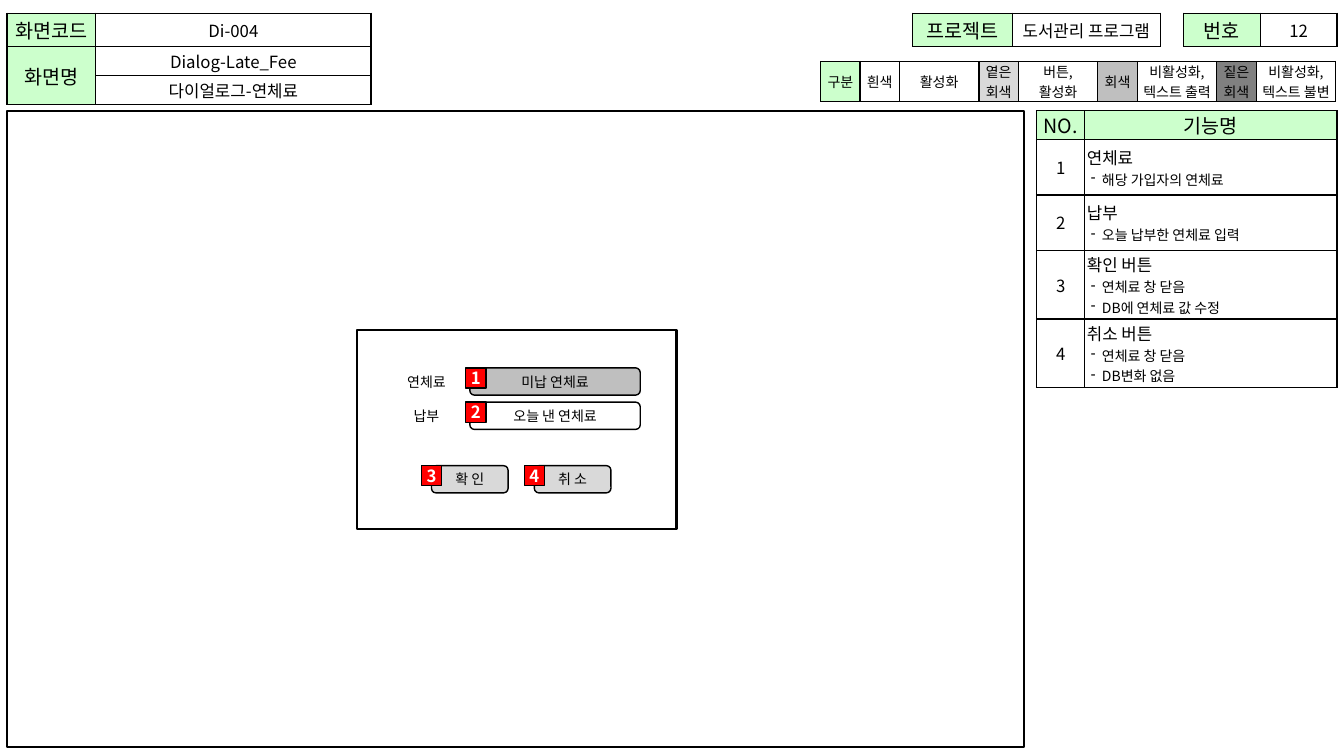
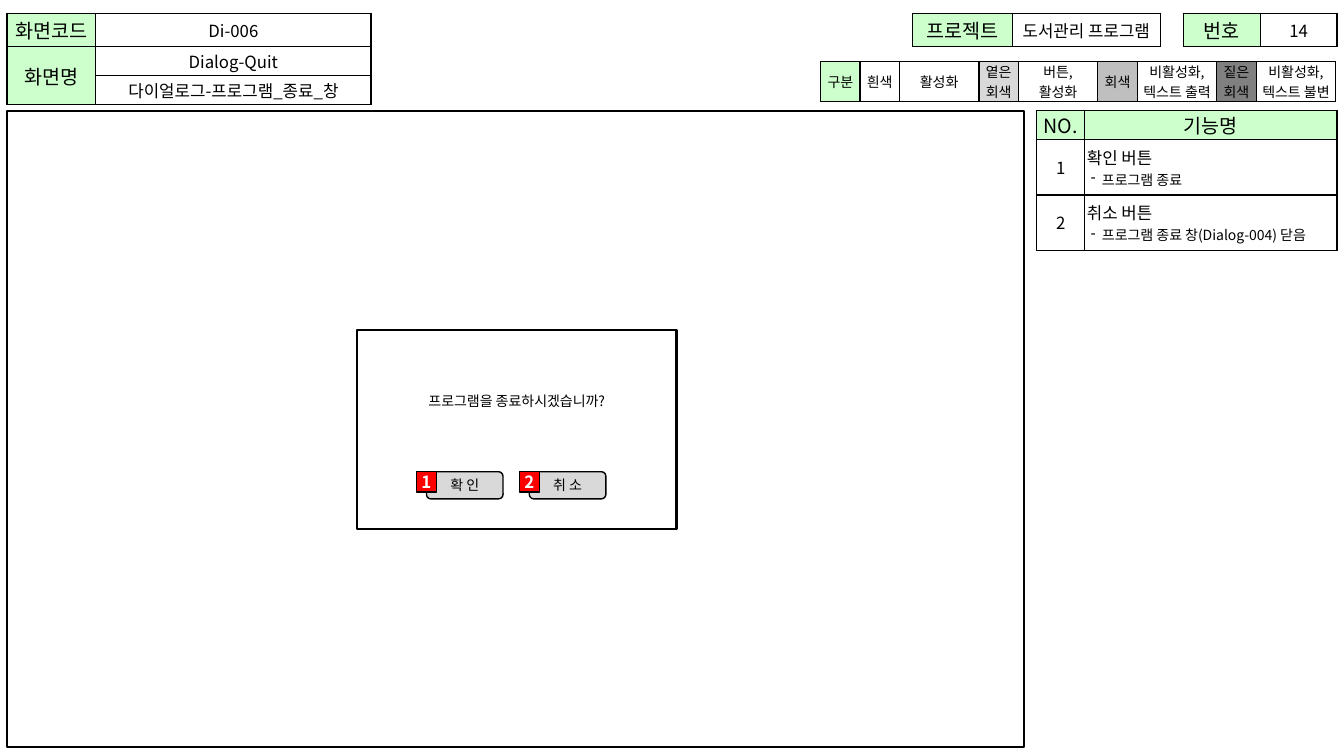
from lxml import etree
from pptx import Presentation
from pptx.dml.color import RGBColor
from pptx.enum.shapes import MSO_SHAPE
from pptx.enum.text import MSO_ANCHOR, PP_ALIGN
from pptx.oxml.ns import qn
from pptx.util import Inches, Pt

RECT, ROUNDED = MSO_SHAPE.RECTANGLE, MSO_SHAPE.ROUNDED_RECTANGLE
CENTER, LEFT, MIDDLE = PP_ALIGN.CENTER, PP_ALIGN.LEFT, MSO_ANCHOR.MIDDLE
FONT = "Noto Sans CJK KR"
COLORS = {
    "text": "000000", "line": "000000", "white": "FFFFFF", "heading": "CCFFCC",
    "light": "D9D9D9", "gray": "BFBFBF", "dark": "808080", "badge": "FF0000",
}
PAD = 0.02
CONTROL_H, BADGE = 0.27, 0.2
BLANK_LAYOUT = 6

# Boxes shared by every screen: left, top, width, height
TITLE_BOX = (0.07, 0.13, 3.61, 0.91)
PROJECT_BOX = (9.05, 0.13, 2.47, 0.33)
NUMBER_BOX = (11.74, 0.13, 1.52, 0.33)
LEGEND_BOX = (8.14, 0.61, 5.12, 0.33)
CANVAS_BOX = (0.07, 1.1, 10.09, 6.31)
FEATURE_BOX = (10.28, 1.1, 2.97, 0.28)
DIALOG_BOX = (3.54, 3.27, 3.17, 1.98)
FEATURE_ROW_H = 0.55

LEGEND = [
    ("구분", "heading"), ("흰색", "white"), ("활성화", "white"),
    ("옅은\n회색", "light"), ("버튼,\n활성화", "white"),
    ("회색", "gray"), ("비활성화,\n텍스트 출력", "white"),
    ("짙은\n회색", "dark"), ("비활성화,\n텍스트 불변", "white"),
]
SCREENS = [
    {
        "code": "Di-004", "name": "Dialog-Late_Fee", "label": "다이얼로그-연체료",
        "number": "12",
        "features": [
            ("연체료", ["해당 가입자의 연체료"]),
            ("납부", ["오늘 납부한 연체료 입력"]),
            ("확인 버튼", ["연체료 창 닫음", "DB에 연체료 값 수정"]),
            ("취소 버튼", ["연체료 창 닫음", "DB변화 없음"]),
        ],
    },
    {
        "code": "Di-006", "name": "Dialog-Quit", "label": "다이얼로그-프로그램_종료_창",
        "number": "14",
        "features": [
            ("확인 버튼", ["프로그램 종료"]),
            ("취소 버튼", ["프로그램 종료 창(Dialog-004) 닫음"]),
        ],
    },
]


def rgb(key):
    return RGBColor.from_string(COLORS[key])


def inches(*lengths):
    return [Inches(length) for length in lengths]


# Text
def write_line(paragraph, text, size, color="text", bold=False, align=CENTER):
    paragraph.alignment = align
    run = paragraph.add_run()
    run.text = text
    for key, value in {"name": FONT, "size": Pt(size), "bold": bold}.items():
        setattr(run.font, key, value)
    run.font.color.rgb = rgb(color)
    east_asian = etree.SubElement(run.font._element, qn("a:ea"))
    east_asian.set("typeface", FONT)


def write_lines(frame, text, **style):
    for i, line in enumerate(text.split("\n")):
        paragraph = frame.add_paragraph() if i else frame.paragraphs[0]
        write_line(paragraph, line, **style)


def add_dash(paragraph):
    properties = paragraph._p.get_or_add_pPr()
    properties.set("marL", str(Inches(0.15)))
    properties.set("indent", str(Inches(-0.11)))
    etree.SubElement(properties, qn("a:buChar")).set("char", "-")


# Shapes
def add_box(slide, kind, box, fill=None, line_width=None, text="", pad=PAD,
            **style):
    shape = slide.shapes.add_shape(kind, *inches(*box))
    shape.shadow.inherit = False
    if fill:
        shape.fill.solid()
        shape.fill.fore_color.rgb = rgb(fill)
    else:
        shape.fill.background()
    if line_width:
        shape.line.color.rgb = rgb("line")
        shape.line.width = Pt(line_width)
    else:
        shape.line.fill.background()
    if text:
        frame = shape.text_frame
        margins = {"margin_left": Inches(pad), "margin_right": Inches(pad),
                   "margin_top": 0, "margin_bottom": 0}
        for key, value in {**margins, "word_wrap": True,
                           "vertical_anchor": MIDDLE}.items():
            setattr(frame, key, value)
        write_lines(frame, text, **style)


def add_control(slide, left, top, width, text, fill=None, line_width=1):
    add_box(slide, ROUNDED, (left, top, width, CONTROL_H), fill, line_width,
            text, size=10)


def add_badge(slide, left, top, number):
    add_box(slide, RECT, (left, top, BADGE, BADGE), "badge", 1, str(number),
            pad=0, size=12, color="white", bold=True)


# Tables
def add_grid(slide, box, widths, heights):
    table = slide.shapes.add_table(len(heights), len(widths), *inches(*box)).table
    table.first_row = table.horz_banding = False
    for column, width in zip(table.columns, widths):
        column.width = Inches(width)
    for row, height in zip(table.rows, heights):
        row.height = Inches(height)
    for cell in table.iter_cells():
        format_cell(cell)
    return table


def format_cell(cell):
    properties = cell._tc.get_or_add_tcPr()
    for side in ("lnL", "lnR", "lnT", "lnB"):
        border = etree.SubElement(properties, qn(f"a:{side}"), w=str(Pt(1)))
        solid = etree.SubElement(border, qn("a:solidFill"))
        etree.SubElement(solid, qn("a:srgbClr"), val=COLORS["line"])
    cell.vertical_anchor = MIDDLE
    for side in ("left", "right", "top", "bottom"):
        setattr(cell, f"margin_{side}", Inches(PAD))
    shade(cell, "white")


def shade(cell, fill):
    cell.fill.solid()
    cell.fill.fore_color.rgb = rgb(fill)


def fill_cell(cell, text, fill="white", size=12, pad=PAD):
    shade(cell, fill)
    cell.margin_top = cell.margin_bottom = Inches(pad)
    write_lines(cell.text_frame, text, size=size)


def add_title_table(slide, box, screen):
    table = add_grid(slide, box, [0.88, 2.73], [0.33, 0.29, 0.29])
    table.cell(1, 0).merge(table.cell(2, 0))
    for row, heading in enumerate(["화면코드", "화면명"]):
        fill_cell(table.cell(row, 0), heading, "heading", 14)
    for row, key in enumerate(["code", "name", "label"]):
        fill_cell(table.cell(row, 1), screen[key])


def add_pair_table(slide, box, widths, heading, value):
    table = add_grid(slide, box, widths, [box[3]])
    fill_cell(table.cell(0, 0), heading, "heading", 14)
    fill_cell(table.cell(0, 1), value)


def add_legend(slide, box):
    widths = [0.39] + [0.39, 0.79] * 4
    table = add_grid(slide, box, widths, [box[3]])
    for column, (text, fill) in enumerate(LEGEND):
        fill_cell(table.cell(0, column), text, fill, 10, pad=0)


def add_feature_table(slide, box, features):
    left, top, width, head_height = box
    heights = [head_height] + [FEATURE_ROW_H] * len(features)
    table = add_grid(slide, (left, top, width, sum(heights)), [0.48, 2.5], heights)
    for column, heading in enumerate(["NO.", "기능명"]):
        fill_cell(table.cell(0, column), heading, "heading", 14, pad=0)
    for number, (feature, details) in enumerate(features, 1):
        fill_cell(table.cell(number, 0), str(number), pad=0)
        frame = table.cell(number, 1).text_frame
        write_line(frame.paragraphs[0], feature, 12, align=LEFT)
        for detail in details:
            paragraph = frame.add_paragraph()
            add_dash(paragraph)
            write_line(paragraph, detail, 10, align=LEFT)


# Dialogs
def add_buttons(slide, left, top, first_number):
    for i, text in enumerate(["확 인", "취 소"]):
        button_left = left + 1.02 * i
        add_control(slide, button_left, top, 0.76, text, "light")
        add_badge(slide, button_left - 0.1, top, first_number + i)


def add_late_fee_dialog(slide, box):
    left, top = box[:2]
    fields = [("연체료", "미납 연체료", "gray"), ("납부", "오늘 낸 연체료", None)]
    for i, (label, value, fill) in enumerate(fields):
        field_top = top + 0.38 + 0.34 * i
        add_control(slide, left + 0.35, field_top, 0.68, label, line_width=None)
        add_control(slide, left + 1.12, field_top, 1.69, value, fill)
        add_badge(slide, left + 1.08, field_top, i + 1)
    add_buttons(slide, left + 0.74, top + 1.35, len(fields) + 1)


def add_quit_dialog(slide, box):
    left, top = box[:2]
    add_control(slide, left + 0.49, top + 0.57, 2.19,
                "프로그램을 종료하시겠습니까?", line_width=None)
    add_buttons(slide, left + 0.69, top + 1.41, 1)


def add_screen(presentation, screen, add_dialog):
    slide = presentation.slides.add_slide(presentation.slide_layouts[BLANK_LAYOUT])
    for box in (CANVAS_BOX, DIALOG_BOX):
        add_box(slide, RECT, box, "white", 1.5)
    add_title_table(slide, TITLE_BOX, screen)
    add_pair_table(slide, PROJECT_BOX, [0.99, 1.47], "프로젝트", "도서관리 프로그램")
    add_pair_table(slide, NUMBER_BOX, [0.76, 0.76], "번호", screen["number"])
    add_legend(slide, LEGEND_BOX)
    add_feature_table(slide, FEATURE_BOX, screen["features"])
    add_dialog(slide, DIALOG_BOX)


def main():
    presentation = Presentation()
    presentation.slide_width, presentation.slide_height = inches(13.33, 7.5)
    for screen, add_dialog in zip(SCREENS, [add_late_fee_dialog, add_quit_dialog]):
        add_screen(presentation, screen, add_dialog)
    presentation.save("out.pptx")


if __name__ == "__main__":
    main()
